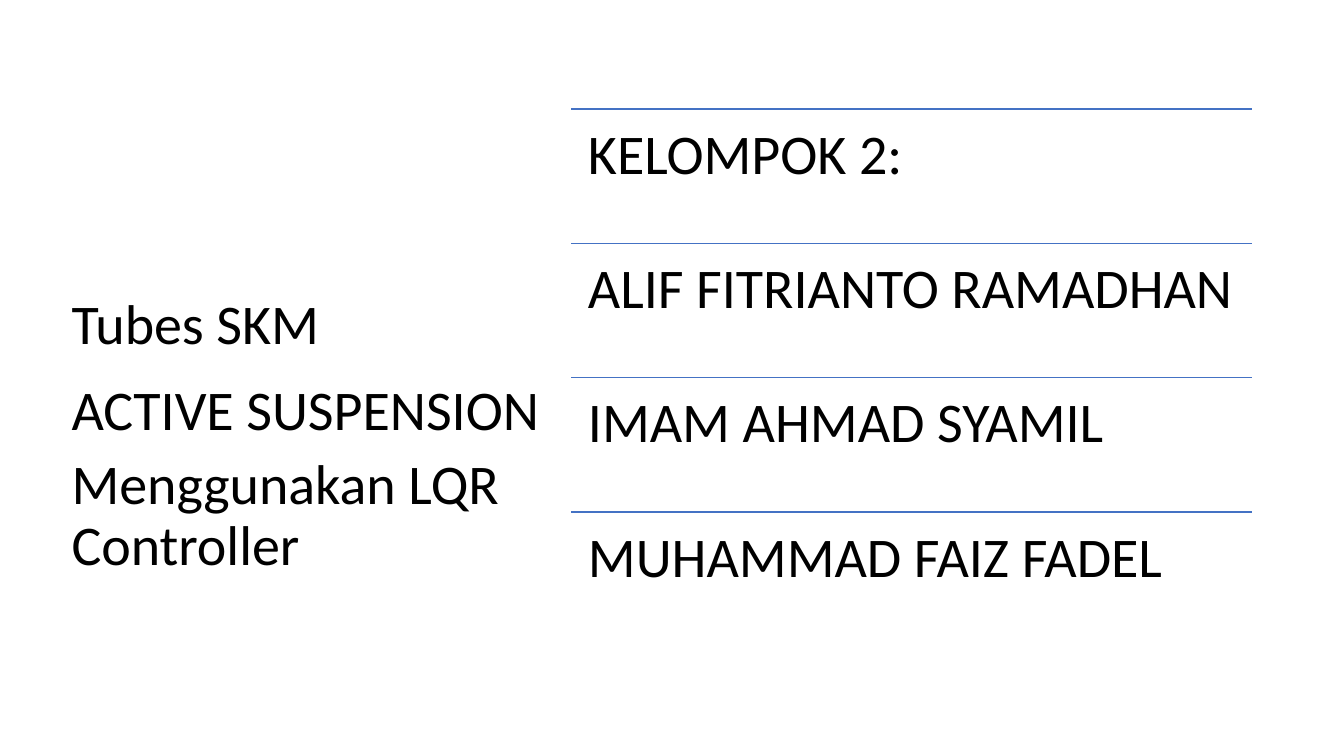
from dataclasses import dataclass

from pptx import Presentation
from pptx.dml.color import RGBColor
from pptx.enum.shapes import MSO_CONNECTOR
from pptx.enum.text import MSO_ANCHOR, MSO_AUTO_SIZE, PP_ALIGN
from pptx.oxml.ns import qn
from pptx.util import Pt


@dataclass(frozen=True)
class Theme:
    font: str = "Calibri"
    size: float = 40
    line_spacing: float = 0.9
    ink: RGBColor = RGBColor(0x00, 0x00, 0x00)
    rule: RGBColor = RGBColor(0x44, 0x72, 0xC4)
    rule_width: float = 1


class Page:
    def __init__(self, deck, theme):
        self.theme = theme
        self.slide = deck.slides.add_slide(deck.slide_layouts[5])

    def title(self, text, left, top, width, height):
        box = self.slide.shapes.title
        box.left, box.top, box.width, box.height = map(Pt, (left, top, width, height))
        self.fill_frame(box.text_frame, [text], anchor=MSO_ANCHOR.BOTTOM)

    def text(self, lines, left, top, width, height, inset=None, before=0):
        box = self.slide.shapes.add_textbox(*map(Pt, (left, top, width, height)))
        frame = box.text_frame
        if inset is not None:
            frame.margin_left = frame.margin_right = Pt(inset)
            frame.margin_top = frame.margin_bottom = Pt(inset)
        self.fill_frame(frame, lines, before=before)

    def fill_frame(self, frame, lines, anchor=MSO_ANCHOR.TOP, before=0):
        frame.word_wrap = True
        frame.auto_size = MSO_AUTO_SIZE.NONE
        frame.vertical_anchor = anchor
        frame.text = "\n".join(lines)
        for para in frame.paragraphs:
            para.alignment = PP_ALIGN.LEFT
            para.line_spacing = self.theme.line_spacing
            para.space_before = Pt(before)
            para.font.name = self.theme.font
            para.font.size = Pt(self.theme.size)
            para.font.color.rgb = self.theme.ink

    def rule(self, left, top, width):
        line = self.slide.shapes.add_connector(
            MSO_CONNECTOR.STRAIGHT, Pt(left), Pt(top), Pt(left + width), Pt(top))
        line.line.color.rgb = self.theme.rule
        line.line.width = Pt(self.theme.rule_width)
        properties = line._element.spPr
        properties.append(properties.makeelement(qn("a:effectLst"), {}))


def main():
    deck = Presentation()
    deck.slide_width, deck.slide_height = Pt(960), Pt(540)
    page = Page(deck, Theme())

    page.title("Tubes SKM", 44, 132.5, 309.5, 126)

    members = [
        "KELOMPOK 2:",
        "ALIF FITRIANTO RAMADHAN",
        "IMAM AHMAD SYAMIL",
        "MUHAMMAD FAIZ FADEL",
    ]
    left, first_top, width, row_height = 408, 77.8, 486, 96
    for index, member in enumerate(members):
        top = first_top + index * row_height
        page.rule(left, top, width)
        page.text([member], left, top, width, row_height, inset=12)

    page.text(["ACTIVE SUSPENSION", "Menggunakan LQR Controller"],
              44, 269.3, 353.5, 210, before=10)

    deck.save("out.pptx")


if __name__ == "__main__":
    main()
